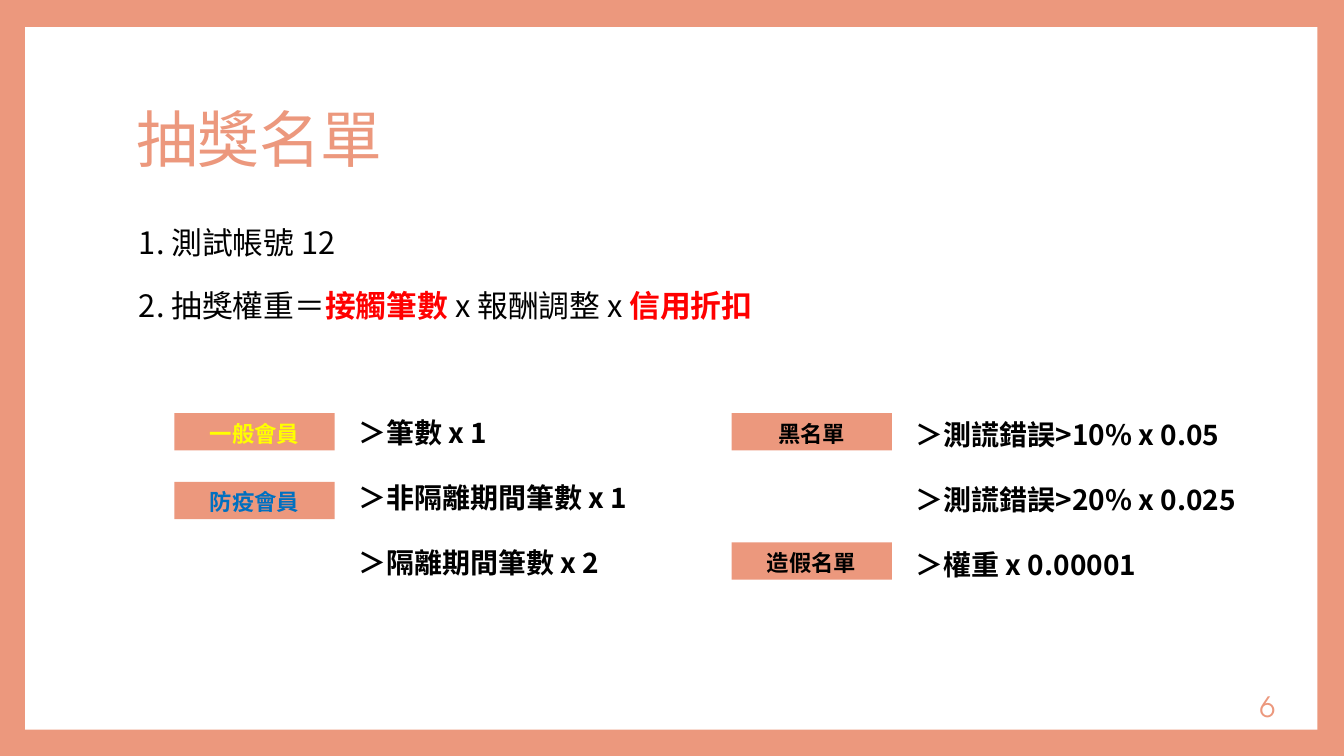
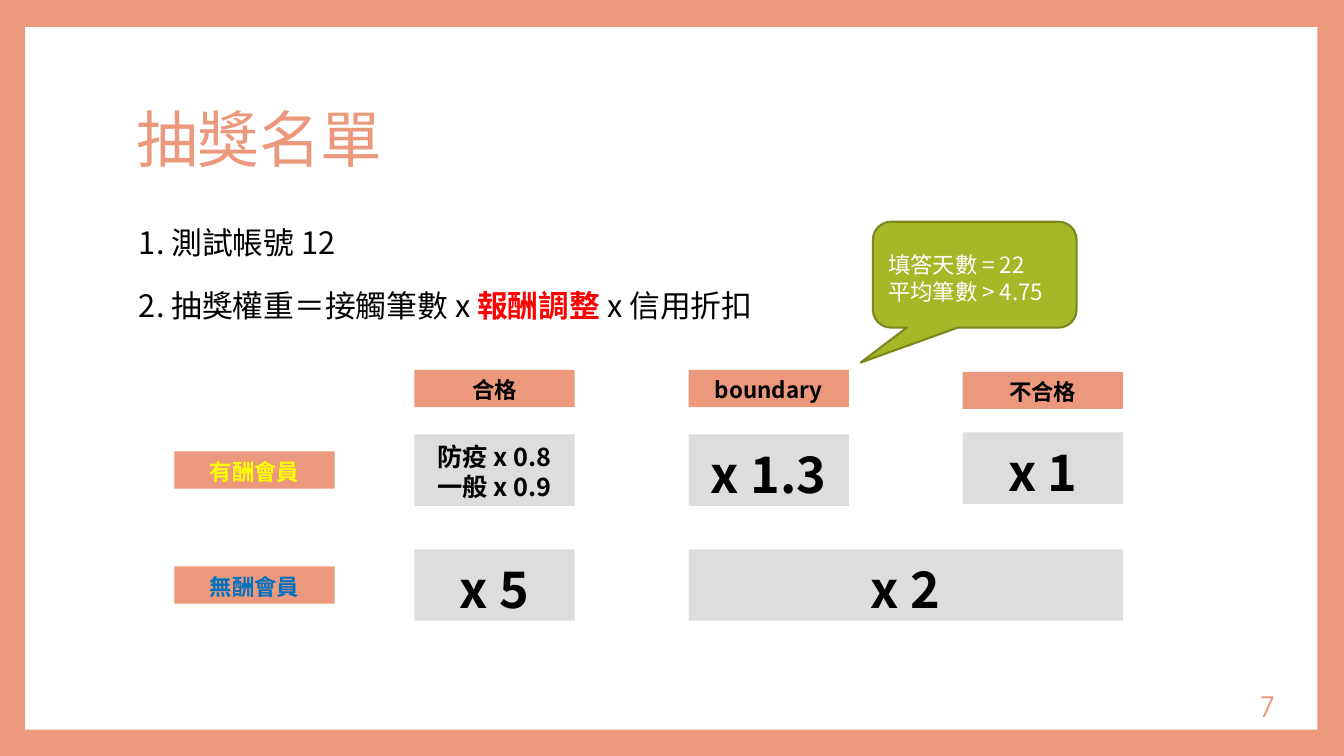
import pptx
import pptx.util
import pptx.dml.color
import pptx.enum.shapes
import pptx.enum.text
import pptx.oxml.ns
import lxml.etree
from dataclasses import dataclass

Pt = pptx.util.Pt
SHAPE = pptx.enum.shapes.MSO_SHAPE
ALIGN = pptx.enum.text.PP_ALIGN
ANCHOR = pptx.enum.text.MSO_ANCHOR


# Colours, fonts and type sizes
@dataclass(frozen=True)
class Theme:
    coral: str = "EC987D"
    white: str = "FFFFFF"
    black: str = "000000"
    red: str = "FF0000"
    yellow: str = "FFFF00"
    blue: str = "0070C0"
    grey: str = "DDDDDD"
    green: str = "A6B727"
    dark_green: str = "7B871D"
    heading_font: str = "TeX Gyre Adventor"
    body_font: str = "Noto Sans CJK SC"
    title: int = 44
    factor: int = 36
    point: int = 22
    rule: int = 20
    pair: int = 18
    label: int = 16
    page: int = 20
    line_height: float = 1.2
    baseline_drop: float = 0.07


THEME = Theme()

# Content: a run is (text, emphasised)
TITLE = "抽獎名單"
ACCOUNTS = [("1. 測試帳號 12", False)]
CONTACT_WEIGHT = [("2. 抽獎權重＝", False), ("接觸筆數 ", True),
                  ("x 報酬調整 x ", False), ("信用折扣", True)]
REWARD_WEIGHT = [("2. 抽獎權重＝接觸筆數 x ", False), ("報酬調整 ", True),
                 ("x 信用折扣", False)]

# Each group: left edge, first rule top, rule width, labels (text, top, colour), rules
RULE_GROUPS = [
    (124.5, 291.6, 230,
     [("一般會員", 295.2, THEME.yellow), ("防疫會員", 344.2, THEME.blue)],
     ["＞筆數 x 1", "＞非隔離期間筆數 x 1", "＞隔離期間筆數 x 2"]),
    (522.5, 293, 256,
     [("黑名單", 295.2, THEME.black), ("造假名單", 387.4, THEME.black)],
     ["＞測謊錯誤>10% x 0.05", "＞測謊錯誤>20% x 0.025", "＞權重 x 0.00001"]),
]
RULE_PITCH, RULE_OFFSET = 46.4, 124.2

# Reward grid: headings (text, drop); rows hold (lines, size, columns spanned, drop)
HEADINGS = [("合格", 0), ("boundary", 0), ("不合格", 1.4)]
MEMBERS = [
    ("有酬會員", THEME.yellow, [
        (["防疫 x 0.8", "一般 x 0.9"], THEME.pair, 1, 0),
        (["x 1.3"], THEME.factor, 1, 0),
        (["x 1"], THEME.factor, 1, -1.4)]),
    ("無酬會員", THEME.blue, [
        (["x 5"], THEME.factor, 1, 0),
        (["x 2"], THEME.factor, 2, 0)]),
]
BOUNDARY_NOTE = ["填答天數 = 22", "平均筆數 > 4.75"]
MEMBER_LEFT, GRID_LEFT, GRID_PITCH = 124.5, 296, 195.8
HEADING_TOP, GRID_TOP, ROW_PITCH = 264.2, 310.3, 82.1
LABEL_WIDTH, LABEL_HEIGHT, CELL_HEIGHT = 114.5, 26.6, 51


def rgb(value):
    return pptx.dml.color.RGBColor.from_string(value)


def assign(target, **values):
    for attribute, value in values.items():
        setattr(target, attribute, value)


def style_run(run, size, colour, bold=False, family=THEME.body_font):
    assign(run.font, size=Pt(size), bold=bold, name=family)
    run.font.color.rgb = rgb(colour)
    east_asian = lxml.etree.SubElement(run.font._element, pptx.oxml.ns.qn("a:ea"))
    east_asian.set("typeface", THEME.body_font)


def box(slide, area, fill, kind=SHAPE.RECTANGLE):
    shape = slide.shapes.add_shape(kind, *map(Pt, area))
    shape.shadow.inherit = False
    shape.fill.solid()
    shape.fill.fore_color.rgb = rgb(fill)
    shape.line.fill.background()
    return shape


def write(shape, paragraphs, size, colour=THEME.black, bold=True,
          align=ALIGN.LEFT, anchor=ANCHOR.TOP):
    frame = shape.text_frame
    assign(frame, word_wrap=True, vertical_anchor=anchor, margin_bottom=0,
           margin_top=Pt(round(3.6 + size * THEME.baseline_drop, 2)))
    for index, runs in enumerate(paragraphs):
        paragraph = frame.add_paragraph() if index else frame.paragraphs[0]
        assign(paragraph, alignment=align,
               line_spacing=Pt(round(size * THEME.line_height, 1)))
        for text, emphasised in runs:
            run = paragraph.add_run()
            run.text = text
            style_run(run, size, THEME.red if emphasised else colour,
                      bold or emphasised)


def plain(lines):
    return [[(line, False)] for line in lines]


def label(slide, text, left, top, colour=THEME.black):
    tag = box(slide, (left, top, LABEL_WIDTH, LABEL_HEIGHT), THEME.coral)
    write(tag, plain([text]), THEME.label, colour, align=ALIGN.CENTER)


# Shared background and white panel
def prepare_layout(deck):
    layout = deck.slide_layouts[5]
    background = deck.slide_master.background.fill
    background.solid()
    background.fore_color.rgb = rgb(THEME.coral)
    return layout


def add_panel(layout, slide):
    panel = box(slide, (18, 19.4, 923, 501.9), THEME.white)
    layout.shapes.element.insert(2, panel.element)


# Shared title, page number and numbered points
def start_slide(slide, number, weight):
    title = slide.shapes.title
    assign(title, left=Pt(90), top=Pt(48.2), width=Pt(777.6), height=Pt(106.6))
    page = slide.shapes.add_textbox(Pt(783.4), Pt(490.3), Pt(134.6), Pt(28.8))
    for shape, text, size, align, spacing in (
            (title, TITLE, THEME.title, ALIGN.LEFT, 0.9),
            (page, str(number), THEME.page, ALIGN.RIGHT, 1.0)):
        frame = shape.text_frame
        assign(frame, word_wrap=True, vertical_anchor=ANCHOR.MIDDLE)
        paragraph = frame.paragraphs[0]
        assign(paragraph, alignment=align, line_spacing=spacing)
        run = paragraph.add_run()
        run.text = text
        style_run(run, size, THEME.coral, family=THEME.heading_font)
    for index, runs in enumerate((ACCOUNTS, weight)):
        point = box(slide, (92.2, 154.8 + 44.6 * index, 777.6, 33.8), THEME.white)
        write(point, [runs], THEME.point, bold=False)


def contact_rules(slide):
    for left, first_top, width, labels, rules in RULE_GROUPS:
        for index, text in enumerate(rules):
            area = (left + RULE_OFFSET, first_top + index * RULE_PITCH, width, 31.7)
            write(box(slide, area, THEME.white), plain([text]), THEME.rule)
        for text, top, colour in labels:
            label(slide, text, left, top, colour)


def reward_grid(slide):
    for column, (text, drop) in enumerate(HEADINGS):
        label(slide, text, GRID_LEFT + column * GRID_PITCH, HEADING_TOP + drop)
    for row, (member, colour, cells) in enumerate(MEMBERS):
        top = GRID_TOP + row * ROW_PITCH
        label(slide, member, MEMBER_LEFT, top + (CELL_HEIGHT - LABEL_HEIGHT) / 2, colour)
        column = 0
        for lines, size, span, drop in cells:
            width = LABEL_WIDTH + (span - 1) * GRID_PITCH
            area = (GRID_LEFT + column * GRID_PITCH, top + drop, width, CELL_HEIGHT)
            write(box(slide, area, THEME.grey), plain(lines), size, align=ALIGN.CENTER)
            column += span
    # Note pointing at the boundary heading
    note = box(slide, (623.5, 158.4, 145.5, 75.6), THEME.green,
               SHAPE.ROUNDED_RECTANGULAR_CALLOUT)
    for index, value in enumerate((-0.56, 0.83, 0.17)):
        note.adjustments[index] = value
    note.line.color.rgb = rgb(THEME.dark_green)
    note.line.width = Pt(1.5)
    write(note, plain(BOUNDARY_NOTE), THEME.label, THEME.white, bold=False,
          anchor=ANCHOR.MIDDLE)


def main():
    deck = pptx.Presentation()
    assign(deck, slide_width=Pt(960), slide_height=Pt(540))
    layout = prepare_layout(deck)
    pages = [(6, CONTACT_WEIGHT, contact_rules), (7, REWARD_WEIGHT, reward_grid)]
    for index, (number, weight, draw_content) in enumerate(pages):
        slide = deck.slides.add_slide(layout)
        if index == 0:
            add_panel(layout, slide)
        start_slide(slide, number, weight)
        draw_content(slide)
    deck.save("out.pptx")


if __name__ == "__main__":
    main()
